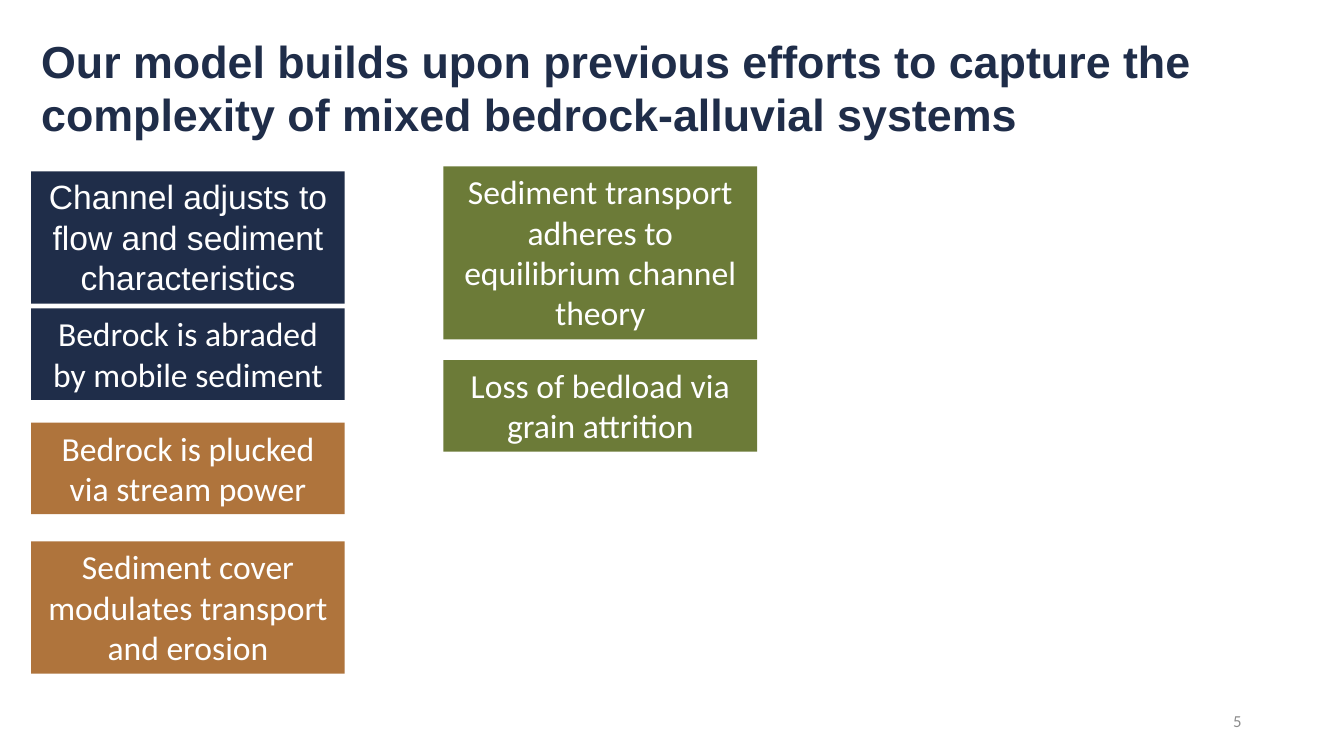
from dataclasses import dataclass

from pptx import Presentation
from pptx.dml.color import RGBColor
from pptx.enum.shapes import MSO_SHAPE
from pptx.enum.text import MSO_ANCHOR, PP_ALIGN
from pptx.shapes.base import BaseShape
from pptx.slide import Slide
from pptx.util import Pt

RECT = MSO_SHAPE.RECTANGLE
TOP, MIDDLE = MSO_ANCHOR.TOP, MSO_ANCHOR.MIDDLE
LEFT, CENTER, RIGHT = PP_ALIGN.LEFT, PP_ALIGN.CENTER, PP_ALIGN.RIGHT

NAVY, BROWN, GREEN = "1F2D49", "AF743C", "6C7B38"
WHITE, GRAY = "FFFFFF", "8C8C8C"

# Columns of boxes; a box is as high as its lines of text
COL_A, COL_B = 22.3, 316.8
BOX_WIDTH = 224
LINE, PADDING = 29.1, 7.2


@dataclass
class Style:
    size: float
    color: str
    font: str = "Calibri"
    bold: bool = False
    align: PP_ALIGN = LEFT
    anchor: MSO_ANCHOR = TOP


@dataclass
class Process:
    text: str
    left: float
    top: float
    lines: int
    fill: str
    font: str = "Calibri"


PROCESSES = [
    Process("Channel adjusts to flow and sediment characteristics",
            COL_A, 122.4, 3, NAVY, "Arial"),
    Process("Bedrock is abraded by mobile sediment", COL_A, 220.2, 2, NAVY),
    Process("Bedrock is plucked via stream power", COL_A, 301.8, 2, BROWN),
    Process("Sediment cover modulates transport and erosion",
            COL_A, 386.7, 3, BROWN),
    Process("Sediment transport adheres to equilibrium channel theory",
            COL_B, 118.8, 4, GREEN),
    Process("Loss of bedload via grain attrition", COL_B, 257.2, 2, GREEN),
]


def rgb(code: str) -> RGBColor:
    return RGBColor.from_string(code)


def write(shape: BaseShape, text: str, style: Style) -> None:
    frame = shape.text_frame
    frame.text = text
    frame.word_wrap = True
    frame.vertical_anchor = style.anchor
    para = frame.paragraphs[0]
    para.alignment = style.align
    font = para.runs[0].font
    font.name = style.font
    font.size = Pt(style.size)
    font.bold = style.bold
    font.color.rgb = rgb(style.color)


def add_text(slide: Slide, text: str, left: float, top: float,
             width: float, height: float, style: Style) -> None:
    box = slide.shapes.add_textbox(Pt(left), Pt(top), Pt(width), Pt(height))
    write(box, text, style)


def add_process(slide: Slide, item: Process) -> None:
    height = PADDING + LINE * item.lines
    box = slide.shapes.add_shape(RECT, Pt(item.left), Pt(item.top),
                                 Pt(BOX_WIDTH), Pt(height))
    box.shadow.inherit = False
    box.fill.solid()
    box.fill.fore_color.rgb = rgb(item.fill)
    box.line.fill.background()
    write(box, item.text, Style(24, WHITE, item.font, align=CENTER))


def main() -> None:
    deck = Presentation()
    deck.slide_width, deck.slide_height = Pt(960), Pt(540)
    slide = deck.slides.add_slide(deck.slide_layouts[6])

    # Page number and title
    add_text(slide, "5", 678, 500.5, 216, 28.75,
             Style(12, GRAY, align=RIGHT, anchor=MIDDLE))
    add_text(slide, "Our model builds upon previous efforts to capture the "
             "complexity of mixed bedrock-alluvial systems",
             COL_A, 20.2, 916, 85, Style(32, NAVY, "Arial", bold=True))

    # Process boxes
    for item in PROCESSES:
        add_process(slide, item)

    deck.save("out.pptx")


if __name__ == "__main__":
    main()
